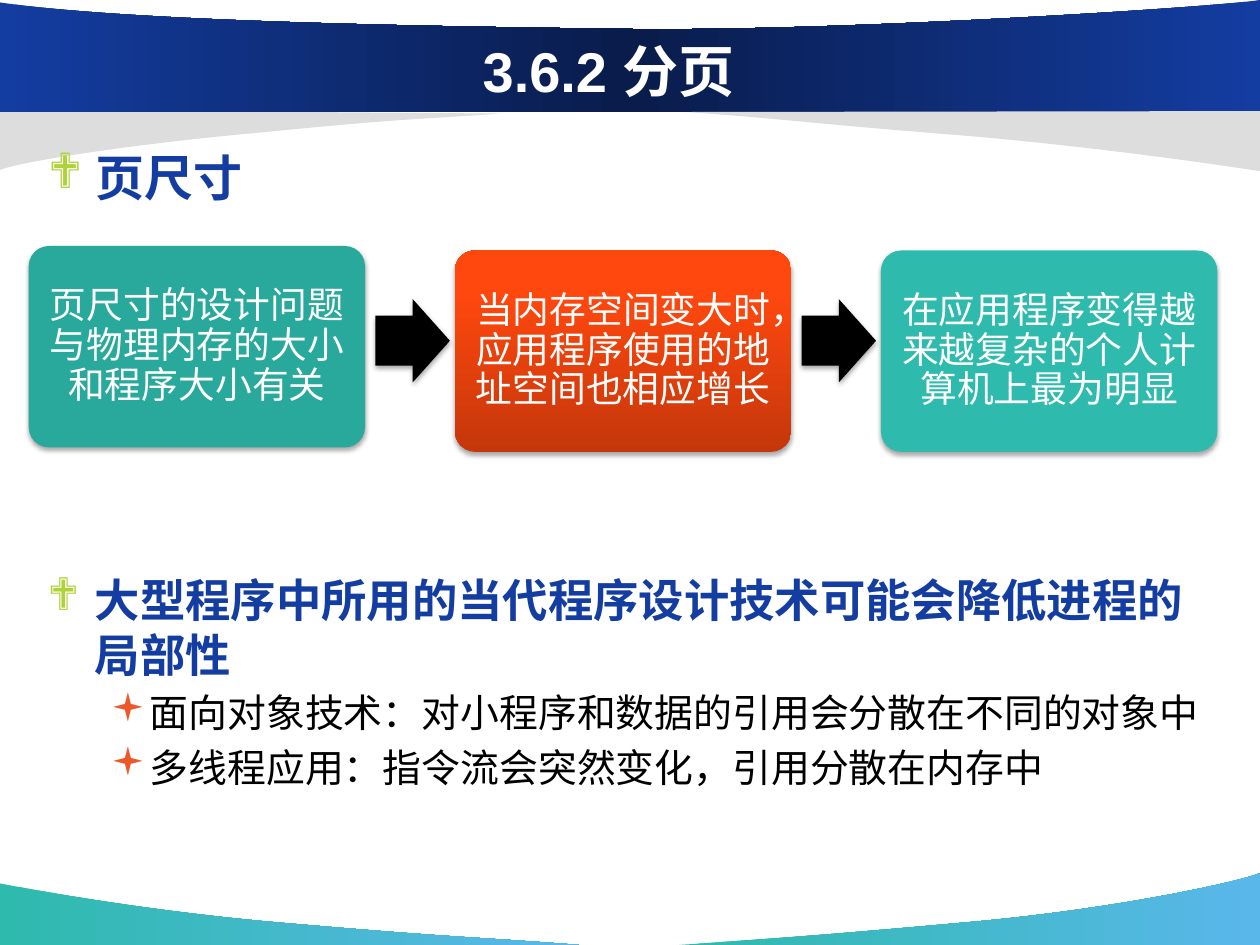
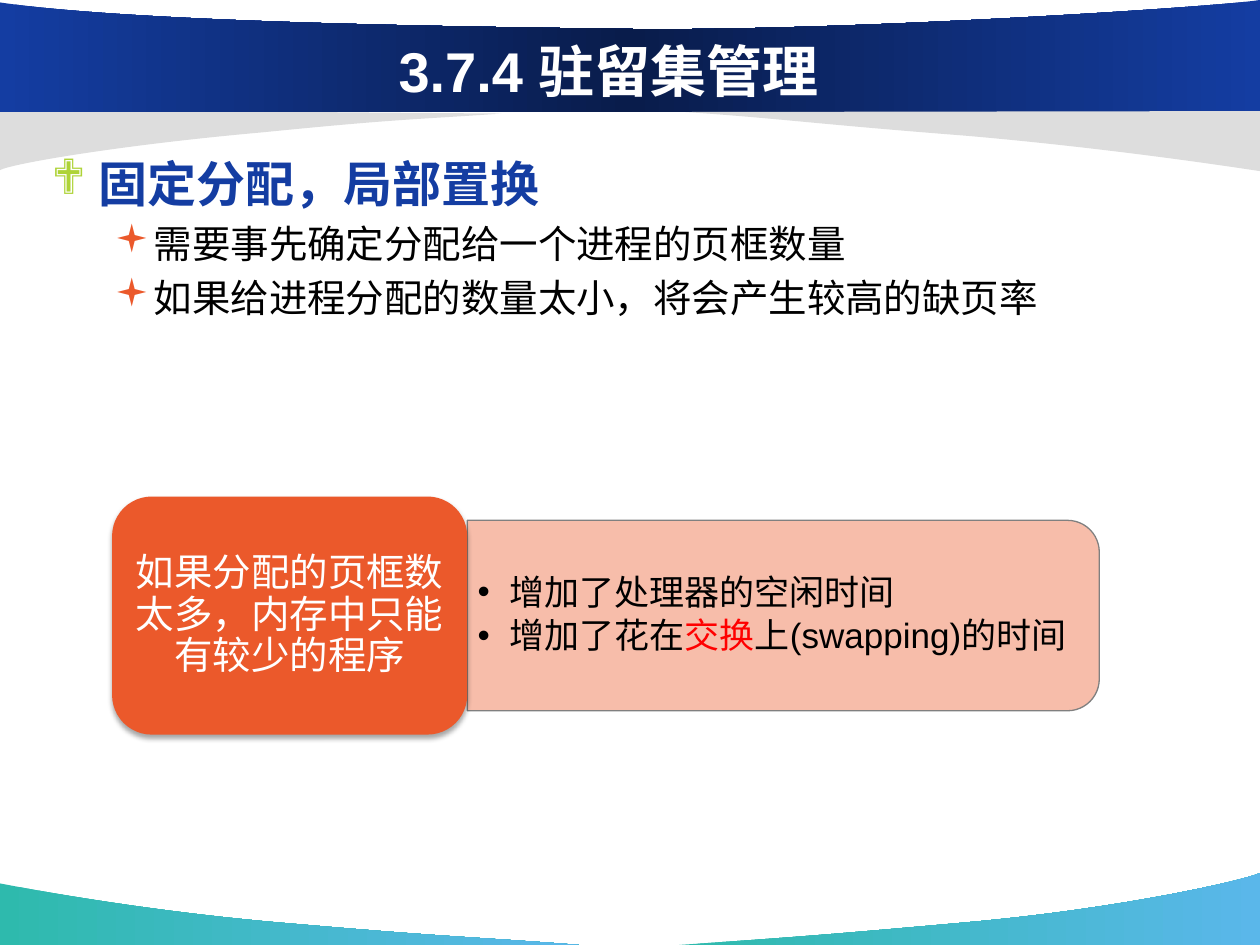
import pptx
import pptx.dml.color
import pptx.enum.shapes
import pptx.enum.text
import pptx.oxml
import pptx.oxml.ns
import pptx.util

Cm = pptx.util.Cm
Pt = pptx.util.Pt
qn = pptx.oxml.ns.qn
RGBColor = pptx.dml.color.RGBColor
SHAPES = pptx.enum.shapes.MSO_SHAPE
ALIGN = pptx.enum.text.PP_ALIGN
ANCHOR = pptx.enum.text.MSO_ANCHOR

FONT = "Arial"
SYMBOL_FONT = "Wingdings"
WHITE = RGBColor(0xFF, 0xFF, 0xFF)
BLACK = RGBColor(0, 0, 0)
RED = RGBColor(0xFF, 0, 0)
BLUE = RGBColor(0x14, 0x3D, 0xA2)
NAVY = RGBColor(0x09, 0x1C, 0x4B)
SKY = RGBColor(0x5A, 0xB7, 0xEA)
TEAL = RGBColor(0x2E, 0xBA, 0xAD)
DARK_TEAL = RGBColor(0x29, 0xA8, 0x9C)
LIME = RGBColor(0xAE, 0xD3, 0x37)
ORANGE = RGBColor(0xEB, 0x59, 0x2B)
FLAME = RGBColor(0xFF, 0x48, 0x0E)
FLAME_TOP = RGBColor(0xFF, 0x49, 0x10)
RUST = RGBColor(0xC5, 0x37, 0x0B)
PEACH = RGBColor(0xF7, 0xBD, 0xAA)
SILVER = RGBColor(0xDD, 0xDD, 0xDD)
GRAY = RGBColor(0x80, 0x80, 0x80)

SWEEP = [(0, TEAL), (100, SKY)]
# Outlines in cm: a step of one point is a line, a step of three is a curve.
BANDS = [
    (SWEEP, [[(11.68, 19.05)],
             [(9.75, 18.9), (9.09, 18.9), (5.89, 18.62)],
             [(2.69, 18.36), (0.03, 17.81), (0, 17.81)],
             [(0, 19.05)]]),
    (SWEEP, [[(13.69, 19.05)],
             [(15.6, 18.92), (16.41, 18.87), (19.53, 18.59)],
             [(22.66, 18.31), (25.15, 17.73), (25.4, 17.6)],
             [(25.4, 19.05)]]),
    (SILVER, [[(10.11, 2.29)],
              [(8.41, 2.41), (8.08, 2.39), (5.28, 2.67)],
              [(2.46, 2.92), (0.23, 3.3), (0, 3.43)],
              [(0, 2.21)]]),
    ([(0, BLUE), (50, NAVY), (100, BLUE)],
     [[(0, 2.26)], [(25.4, 2.26)], [(25.4, 0)],
      [(24.49, 0.15), (16.59, 0.66), (12.37, 0.58)],
      [(8.43, 0.53), (2.57, 0.43), (0, 0.05)]]),
    (SILVER, [[(13.82, 2.26)],
              [(15.75, 2.39), (16.31, 2.49), (19.51, 2.74)],
              [(22.71, 3.02), (25.37, 3.45), (25.4, 3.45)],
              [(25.4, 2.24)]]),
]


def xml(markup):
    """Parse one DrawingML element."""
    head, tail = markup.split(">", 1)
    slash = "/" if head.endswith("/") else ""
    space = pptx.oxml.ns.nsdecls("a")
    return pptx.oxml.parse_xml(f"{head.rstrip('/')} {space}{slash}>{tail}")


def paint(shape, fill, angle=0):
    """Fill with one colour or with a list of (percent, colour) stops."""
    if isinstance(fill, RGBColor):
        shape.fill.solid()
        shape.fill.fore_color.rgb = fill
        return
    shape.fill.gradient()
    shape.fill.gradient_angle = angle
    stops = shape.element.find(".//" + qn("a:gsLst"))
    for stop in list(stops):
        stops.remove(stop)
    for percent, color in fill:
        stops.append(xml(f'<a:gs pos="{percent * 1000}">'
                         f'<a:srgbClr val="{color}"/></a:gs>'))


def add_shape(slide, kind, box, fill, adjustments=(), angle=0, shadow=True):
    shape = slide.shapes.add_shape(kind, *map(Cm, box))
    for index, value in enumerate(adjustments):
        shape.adjustments[index] = value
    paint(shape, fill, angle)
    shape.line.fill.background()
    shape.shadow.inherit = False
    if shadow:
        effects = shape.element.spPr.find(qn("a:effectLst"))
        effects.append(xml(
            f'<a:outerShdw blurRad="{Pt(3.1)}" dist="{Pt(1.8)}" dir="5400000" '
            'rotWithShape="0"><a:srgbClr val="000000"><a:alpha val="35000"/>'
            '</a:srgbClr></a:outerShdw>'))
    return shape


def set_frame(shape, anchor=ANCHOR.TOP, margins=(0.25, 0.13)):
    frame = shape.text_frame
    frame.word_wrap = True
    frame.auto_size = pptx.enum.text.MSO_AUTO_SIZE.NONE
    frame.vertical_anchor = anchor
    frame.margin_left = frame.margin_right = Cm(margins[0])
    frame.margin_top = frame.margin_bottom = Cm(margins[1])
    return frame


def add_text_box(slide, box, **layout):
    return set_frame(slide.shapes.add_textbox(*map(Cm, box)), **layout)


def add_para(frame, text, size, color, bold=False, align=ALIGN.LEFT, level=0,
             bullet=None, bullet_color=BLACK, bullet_font=SYMBOL_FONT,
             indent=(0, 0), before=0, after=0, spacing=None):
    """Add a paragraph; text is a string or a list of (string, colour)."""
    first = frame.paragraphs[0]
    fresh = not first.runs
    para = first if fresh else frame.add_paragraph()
    para.alignment = align
    para.level = level
    if not fresh:
        para.space_before = Pt(before)
    para.space_after = Pt(after)
    if spacing:
        para.line_spacing = spacing
    if bullet:
        props = para._p.get_or_add_pPr()
        props.set("marL", str(Cm(indent[0])))
        props.set("indent", str(Cm(indent[1])))
        props.append(xml(f'<a:buClr><a:srgbClr val="{bullet_color}"/></a:buClr>'))
        props.append(xml(f'<a:buFont typeface="{bullet_font}"/>'))
        props.append(xml(f'<a:buChar char="{bullet}"/>'))
    spans = [(text, color)] if isinstance(text, str) else text
    for words, tint in spans:
        span = para.add_run()
        span.text = words
        span.font.name = FONT
        span.font.size = Pt(size)
        span.font.bold = bold
        span.font.color.rgb = tint


def add_outline(slide, box, heading, points=(), heading_size=28, point_size=22):
    """Blue heading with a diamond bullet, and square-bulleted points below."""
    frame = add_text_box(slide, box)
    add_para(frame, heading, heading_size, BLUE, bold=True, bullet="❖",
             bullet_color=LIME, indent=(0.95, -0.95))
    for point in points:
        add_para(frame, point, point_size, BLACK, level=1, bullet="▪",
                 bullet_color=ORANGE, indent=(2.06, -0.79),
                 before=point_size * 0.2)


def add_card(slide, box, text, size, fill, margins, **style):
    card = add_shape(slide, SHAPES.ROUNDED_RECTANGLE, box, fill, **style)
    frame = set_frame(card, anchor=ANCHOR.MIDDLE, margins=margins)
    add_para(frame, text, size, WHITE, align=ALIGN.CENTER, spacing=0.9)


def add_card_flow(slide, left, top, cards):
    """Row of cards with an arrow in each gap; cards are (text, fill, drop)."""
    pitch, width, height = 8.59, 6.78, 4.06
    for index, (text, fill, drop) in enumerate(cards):
        x = left + index * pitch
        if index:
            add_shape(slide, SHAPES.RIGHT_ARROW,
                      (x - 1.6, top + 1.07, 1.5, 1.68), BLACK,
                      adjustments=(0.6, 0.5))
        add_card(slide, (x, top + drop, width, height), text, 21, fill,
                 (0.22, 0.22), adjustments=(0.1,), angle=90)


def add_consequence(slide, box, cause, effects):
    """Cause card on the left, list of effects in a panel beside it."""
    left, top, width, height = box
    card_width, panel_height = 7.16, 3.84
    panel_left, panel_width = left + card_width, width - card_width
    panel_top = top + (height - panel_height) / 2
    # The panel is turned a quarter, so its sides swap around its centre.
    shift = (panel_width - panel_height) / 2
    panel = add_shape(slide, SHAPES.ROUND_2_SAME_RECTANGLE,
                      (panel_left + shift, panel_top - shift,
                       panel_height, panel_width), PEACH, shadow=False)
    panel.rotation = 90
    panel.line.color.rgb = GRAY
    panel.line.width = Pt(0.75)
    frame = add_text_box(slide, (panel_left, panel_top + 0.19,
                                 panel_width - 0.18, panel_height - 0.38),
                         anchor=ANCHOR.MIDDLE, margins=(0.21, 0.1))
    for effect in effects:
        add_para(frame, effect, 20, BLACK, level=1, bullet="•",
                 bullet_font=FONT, indent=(0.64, -0.64), spacing=0.9, after=3)
    add_card(slide, (left, top, card_width, height), cause, 22, ORANGE,
             (0.23, 0.12))


def bend(band, steps):
    """Merge the line segments of each three-point step into one curve."""
    segments = iter(band.element.findall(".//" + qn("a:lnTo")))
    for step in steps[1:]:
        lines = [next(segments) for _ in step]
        if len(step) == 3:
            curve = xml("<a:cubicBezTo/>")
            lines[0].addprevious(curve)
            for line in lines:
                curve.append(line[0])
                line.getparent().remove(line)


def add_bands(slide, layout):
    """Draw the curved bands and hand them to the layout all slides share."""
    for position, (fill, steps) in enumerate(BANDS):
        start, *rest = [(Cm(x), Cm(y)) for step in steps for x, y in step]
        builder = slide.shapes.build_freeform(*start)
        builder.add_line_segments(rest, close=True)
        band = builder.convert_to_shape()
        bend(band, steps)
        paint(band, fill)
        band.line.fill.background()
        band.shadow.inherit = False
        layout.shapes.element.insert(2 + position, band.element)


def add_titled_slide(deck, layout, text):
    slide = deck.slides.add_slide(layout)
    title = slide.shapes.title
    title.left, title.top, title.width, title.height = map(Cm, (2.33, 0.62, 19.89, 1.57))
    add_para(set_frame(title, anchor=ANCHOR.MIDDLE), text, 32, WHITE,
             bold=True, align=ALIGN.CENTER)
    return slide


def build_paging_slide(slide):
    add_card_flow(slide, 0.58, 4.96, [
        ("页尺寸的设计问题与物理内存的大小和程序大小有关", DARK_TEAL, 0),
        ("当内存空间变大时，应用程序使用的地址空间也相应增长",
         [(0, RUST), (80, FLAME), (100, FLAME_TOP)], 0.09),
        ("在应用程序变得越来越复杂的个人计算机上最为明显", TEAL, 0.09),
    ])
    add_outline(slide, (0.71, 11.41, 24.26, 4.32),
                "大型程序中所用的当代程序设计技术可能会降低进程的局部性",
                ["面向对象技术：对小程序和数据的引用会分散在不同的对象中",
                 "多线程应用：指令流会突然变化，引用分散在内存中"],
                heading_size=25.9, point_size=22.2)
    add_outline(slide, (0.72, 2.84, 24.26, 1.96), "页尺寸")


def build_resident_set_slide(slide):
    add_outline(slide, (0.79, 2.97, 22.86, 13.34), "固定分配，局部置换",
                ["需要事先确定分配给一个进程的页框数量",
                 "如果给进程分配的数量太小，将会产生较高的缺页率"])
    add_consequence(slide, (2.26, 10.01, 19.9, 4.8),
                    "如果分配的页框数太多，内存中只能有较少的程序",
                    ["增加了处理器的空闲时间",
                     [("增加了花在", BLACK), ("交换", RED),
                      ("上(swapping)的时间", BLACK)]])


def main():
    deck = pptx.Presentation()
    deck.slide_width, deck.slide_height = Cm(25.4), Cm(19.05)
    layout = deck.slide_layouts[5]
    paging = add_titled_slide(deck, layout, "3.6.2 分页")
    add_bands(paging, layout)
    build_paging_slide(paging)
    build_resident_set_slide(add_titled_slide(deck, layout, "3.7.4 驻留集管理"))
    deck.save("out.pptx")


if __name__ == "__main__":
    main()
